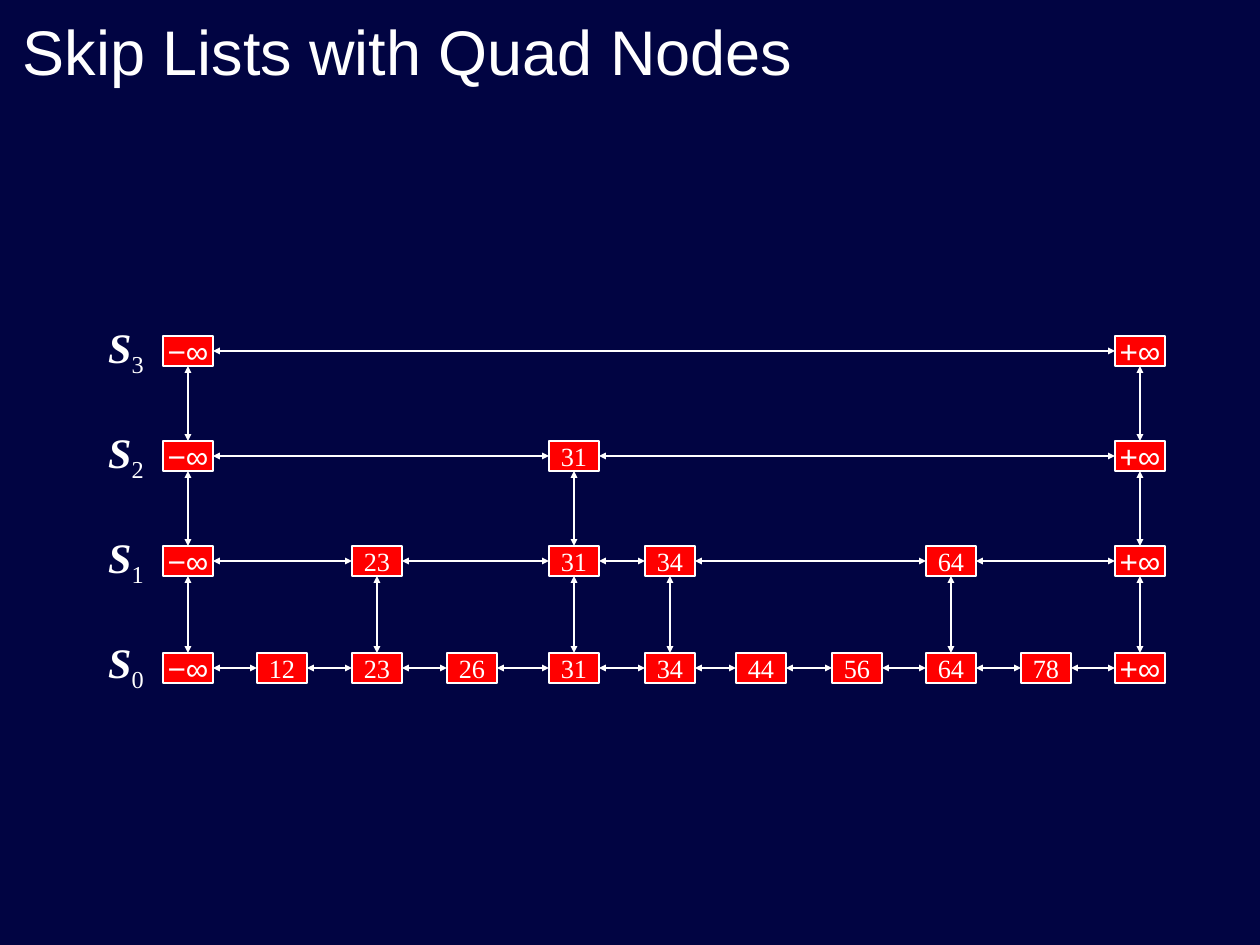
from itertools import pairwise

from lxml import etree
from pptx import Presentation
from pptx import util as u
from pptx.dml.color import RGBColor
from pptx.enum import shapes, text
from pptx.oxml.ns import qn

# Content: the left edge of each key, and the keys kept on each level
TITLE = "Skip Lists with Quad Nodes"
COLUMNS = {
    "−∞": 163, "12": 257, "23": 352, "26": 447, "31": 549, "34": 645,
    "44": 736, "56": 832, "64": 926, "78": 1021, "+∞": 1115,
}
LEVELS = [  # subscript, top of nodes, keys
    ("3", 336, ["−∞", "+∞"]),
    ("2", 441, ["−∞", "31", "+∞"]),
    ("1", 546, ["−∞", "23", "31", "34", "64", "+∞"]),
    ("0", 653, list(COLUMNS)),
]

# Layout in px, and colours
NODE_WIDTH, NODE_HEIGHT = 50, 30
LABEL_LEFT, LABEL_TOP, LABEL_STEP = 96, 315, 105
LABEL_WIDTH, LABEL_HEIGHT = 60, 71
NAVY, RED, WHITE = "010442", "FF0000", "FFFFFF"
SERIF, SANS = "Times New Roman", "Arial"
TOP, LEFT, BOTTOM, RIGHT = range(4)


def px(length):
    return u.Emu(round(length * 914400 / 126))


def color(value):
    return RGBColor.from_string(value)


def write(paragraph, content, size, font=SERIF, bold=False, italic=False,
          baseline=None, align=text.PP_ALIGN.CENTER):
    paragraph.alignment = align
    run = paragraph.add_run()
    run.text = content
    run.font.size = u.Pt(size)
    run.font.name = font
    run.font.bold = bold
    run.font.italic = italic
    run.font.color.rgb = color(WHITE)
    if baseline is not None:
        run._r.get_or_add_rPr().set("baseline", str(baseline))


def add_node(slide, key, top):
    node = slide.shapes.add_shape(
        shapes.MSO_SHAPE.RECTANGLE,
        px(COLUMNS[key]), px(top), px(NODE_WIDTH), px(NODE_HEIGHT))
    node.shadow.inherit = False
    node.fill.solid()
    node.fill.fore_color.rgb = color(RED)
    node.line.color.rgb = color(WHITE)
    node.line.width = u.Pt(1.5)
    frame = node.text_frame
    frame.word_wrap = False
    frame.vertical_anchor = text.MSO_ANCHOR.MIDDLE
    infinite = "∞" in key
    write(frame.paragraphs[0], key, 18 if infinite else 15,
          font=SANS if infinite else SERIF)
    return node


def link(slide, start, start_side, end, end_side, width):
    connector = slide.shapes.add_connector(
        shapes.MSO_CONNECTOR.STRAIGHT, 0, 0, 0, 0)
    connector.begin_connect(start, start_side)
    connector.end_connect(end, end_side)
    connector.line.color.rgb = color(WHITE)
    connector.line.width = u.Pt(width)
    line = connector.line._get_or_add_ln()
    for tag in ("a:headEnd", "a:tailEnd"):
        etree.SubElement(line, qn(tag), type="triangle", w="sm", len="sm")
    etree.SubElement(connector._element.spPr, qn("a:effectLst"))


def add_label(slide, subscript, top):
    label = slide.shapes.add_textbox(
        px(LABEL_LEFT), px(top), px(LABEL_WIDTH), px(LABEL_HEIGHT))
    frame = label.text_frame
    # Narrow side margins keep the letter and its subscript on one line
    frame.margin_left = frame.margin_right = 0
    frame.word_wrap = True
    frame.auto_size = text.MSO_AUTO_SIZE.NONE
    paragraph = frame.paragraphs[0]
    write(paragraph, "S", 24, bold=True, italic=True)
    write(paragraph, subscript, 24, baseline=-25000)


def main():
    presentation = Presentation()
    presentation.slide_width, presentation.slide_height = px(1260), px(945)
    slide = presentation.slides.add_slide(presentation.slide_layouts[5])
    slide.background.fill.solid()
    slide.background.fill.fore_color.rgb = color(NAVY)

    # Title
    title = slide.shapes.title
    title.left, title.top, title.width, title.height = map(px, (10, 10, 1142, 84))
    title.text_frame.auto_size = text.MSO_AUTO_SIZE.NONE
    title.text_frame.vertical_anchor = text.MSO_ANCHOR.BOTTOM
    write(title.text_frame.paragraphs[0], TITLE, 36, font=SANS,
          align=text.PP_ALIGN.LEFT)

    # Levels: label, nodes, links along the level and up to the one above
    above = {}
    for index, (subscript, top, keys) in enumerate(LEVELS):
        add_label(slide, subscript, LABEL_TOP + index * LABEL_STEP)
        nodes = {key: add_node(slide, key, top) for key in keys}
        for first, second in pairwise(nodes.values()):
            link(slide, first, RIGHT, second, LEFT, 1.5)
        for key, upper in above.items():
            link(slide, upper, BOTTOM, nodes[key], TOP, 1)
        above = nodes

    presentation.save("out.pptx")


if __name__ == "__main__":
    main()
